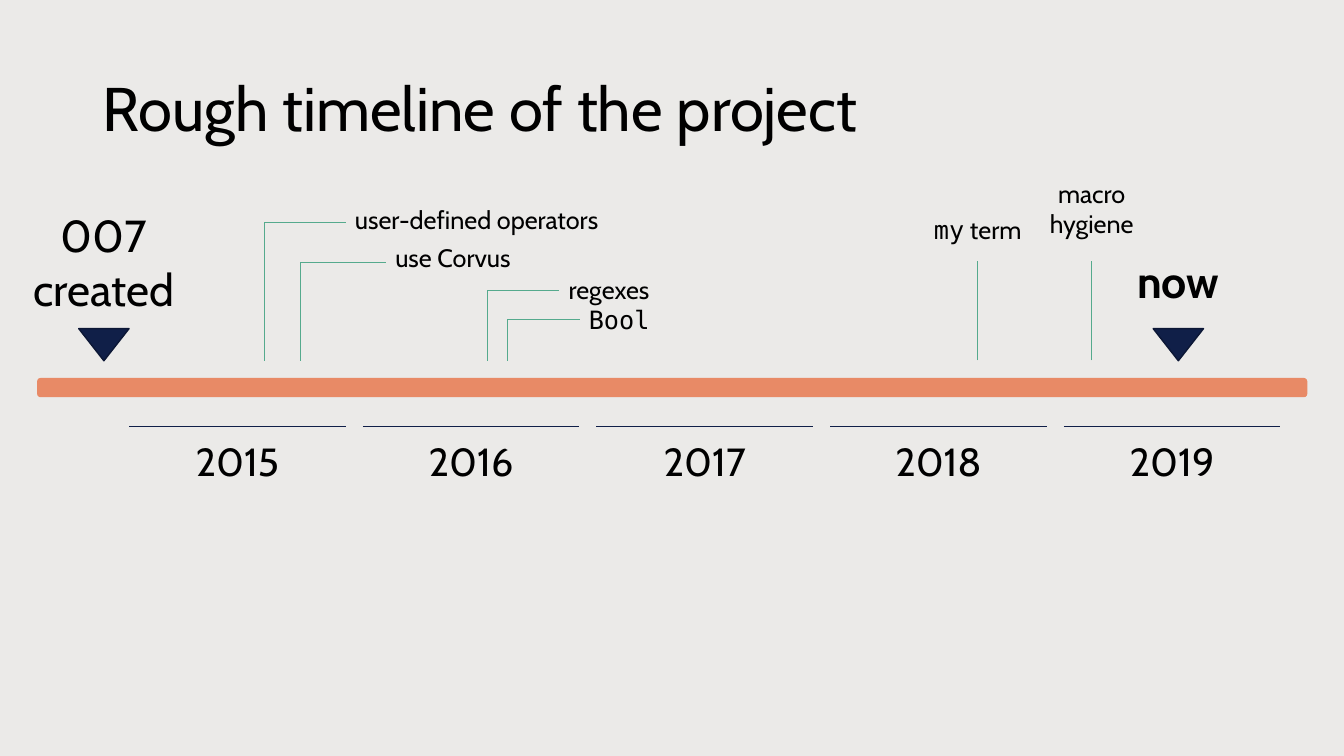
from collections import namedtuple

from lxml import etree
from pptx import Presentation
from pptx import util as u
from pptx.dml.color import RGBColor
from pptx.enum import shapes, text
from pptx.oxml import ns

BACKGROUND = RGBColor(0xEB, 0xEA, 0xE8)
BLACK = RGBColor(0, 0, 0)
ORANGE = RGBColor(0xE8, 0x8A, 0x66)
NAVY = RGBColor(0x10, 0x1F, 0x48)
DARK_NAVY = RGBColor(0x0C, 0x17, 0x35)
GREEN = RGBColor(0x55, 0xAA, 0x8D)
SANS, MONO = "Cabin", "DejaVu Sans Mono"
CENTER, LEFT = text.PP_ALIGN.CENTER, text.PP_ALIGN.LEFT

Box = namedtuple("Box", "left top width height")


def in_points(*values):
    """Turn numbers of points into lengths."""
    return [u.Pt(value) for value in values]


def add_text(page, box, paragraphs, size, align=CENTER, bold=False):
    """Write paragraphs, each a list of (words, font) spans, into a text box."""
    frame = page.shapes.add_textbox(*in_points(*box)).text_frame
    frame.word_wrap = True
    for index, spans in enumerate(paragraphs):
        para = frame.add_paragraph() if index else frame.paragraphs[0]
        para.alignment = align
        for words, font in spans:
            span = para.add_run()
            span.text = words
            span.font.name = font
            span.font.size = u.Pt(size)
            span.font.bold = bold
            span.font.color.rgb = BLACK
    return frame


def add_line(page, start, end, color, kind=shapes.MSO_CONNECTOR.STRAIGHT):
    """Draw a thin connector; an elbow rises first and then runs across."""
    line = page.shapes.add_connector(kind, *in_points(*start, *end))
    line.line.color.rgb = color
    line.line.width = u.Pt(0.5)
    properties = line._element.spPr
    etree.SubElement(properties, ns.qn("a:effectLst"))
    if kind == shapes.MSO_CONNECTOR.ELBOW:
        guides = properties.find(ns.qn("a:prstGeom")).get_or_add_avLst()
        etree.SubElement(guides, ns.qn("a:gd"), name="adj1", fmla="val 0")


def draw_title(page, box):
    """Place the slide title, centred vertically in its box."""
    frame = add_text(page, box, [[("Rough timeline of the project", SANS)]], 44, LEFT)
    frame.vertical_anchor = text.MSO_ANCHOR.MIDDLE
    frame.paragraphs[0].line_spacing = 0.9


def draw_bar(page, box):
    """Draw the rounded bar of the timeline."""
    bar = page.shapes.add_shape(
        shapes.MSO_SHAPE.ROUNDED_RECTANGLE, *in_points(*box))
    bar.shadow.inherit = False
    bar.fill.solid()
    bar.fill.fore_color.rgb = ORANGE
    bar.line.fill.background()


def draw_marker(page, box, lines, bold=False):
    """Put a large label at the top of the box and a pointer at its foot."""
    add_text(page, box, [[(line, SANS)] for line in lines], 32, bold=bold)
    width, height = 36, 23
    left = box.left + (box.width - width) / 2
    top = box.top + box.height - height
    pointer = page.shapes.add_shape(
        shapes.MSO_SHAPE.ISOSCELES_TRIANGLE, *in_points(left, top, width, height))
    pointer.rotation = 180
    pointer.shadow.inherit = False
    pointer.fill.solid()
    pointer.fill.fore_color.rgb = NAVY
    pointer.line.color.rgb = DARK_NAVY
    pointer.line.width = u.Pt(1)


def draw_years(page, box):
    """Divide the box into five years, each a rule with its number below."""
    years = range(2015, 2020)
    gap = 12.2
    width = (box.width - gap * (len(years) - 1)) / len(years)
    for index, year in enumerate(years):
        left = box.left + index * (width + gap)
        add_line(page, (left, box.top), (left + width, box.top), NAVY)
        label = Box(left, box.top + 4.4, width, box.height - 4.4)
        add_text(page, label, [[(str(year), SANS)]], 28)


def draw_branches(page, box):
    """Draw the early events as elbows that lead to labels on the right."""
    branches = [
        ("user-defined operators", SANS, 0, 58.4, 0, 16.5),
        ("use Corvus", SANS, 26, 61.2, 27.3, 44.5),
        ("regexes", SANS, 159.2, 51.8, 49.6, 64.8),
        ("Bool", MONO, 173.6, 51.8, 71.2, 85.7),
    ]
    for words, font, offset, reach, label_top, turn in branches:
        left = box.left + offset
        end = left + reach
        add_line(page, (left, box.top + box.height), (end, box.top + turn),
                 GREEN, shapes.MSO_CONNECTOR.ELBOW)
        label = Box(end - 0.5, box.top + label_top, 221, 28.8)
        add_text(page, label, [[(words, font)]], 18, LEFT)


def draw_stems(page, box):
    """Draw the late events as labels above upright lines."""
    stems = [
        ([("my", MONO), (" term", SANS)], 0, 26, 28.8),
        ([("macro hygiene", SANS)], 81.4, 0, 51),
    ]
    width = 79.2
    for spans, offset, label_top, height in stems:
        left = box.left + offset
        center = left + width / 2
        add_text(page, Box(left, box.top + label_top, width, height), [spans], 18)
        add_line(page, (center, box.top + box.height), (center, box.top + 63), GREEN)


def main():
    """Build the timeline slide and save it."""
    deck = Presentation()
    deck.slide_width, deck.slide_height = in_points(960, 540)
    page = deck.slides.add_slide(deck.slide_layouts[6])
    page.background.fill.solid()
    page.background.fill.fore_color.rgb = BACKGROUND
    draw_title(page, Box(66.2, 27.4, 900, 104.4))
    draw_bar(page, Box(26.6, 270, 907.2, 13.7))
    draw_marker(page, Box(2.2, 144.7, 144, 113), ["007", "created"])
    draw_marker(page, Box(799.2, 177.8, 85, 79.9), ["now"], bold=True)
    draw_years(page, Box(92.2, 304.6, 822.4, 45.4))
    draw_branches(page, Box(188.6, 142.6, 446, 115))
    draw_stems(page, Box(658.8, 123.8, 160.6, 133.7))
    deck.save("out.pptx")


if __name__ == "__main__":
    main()
